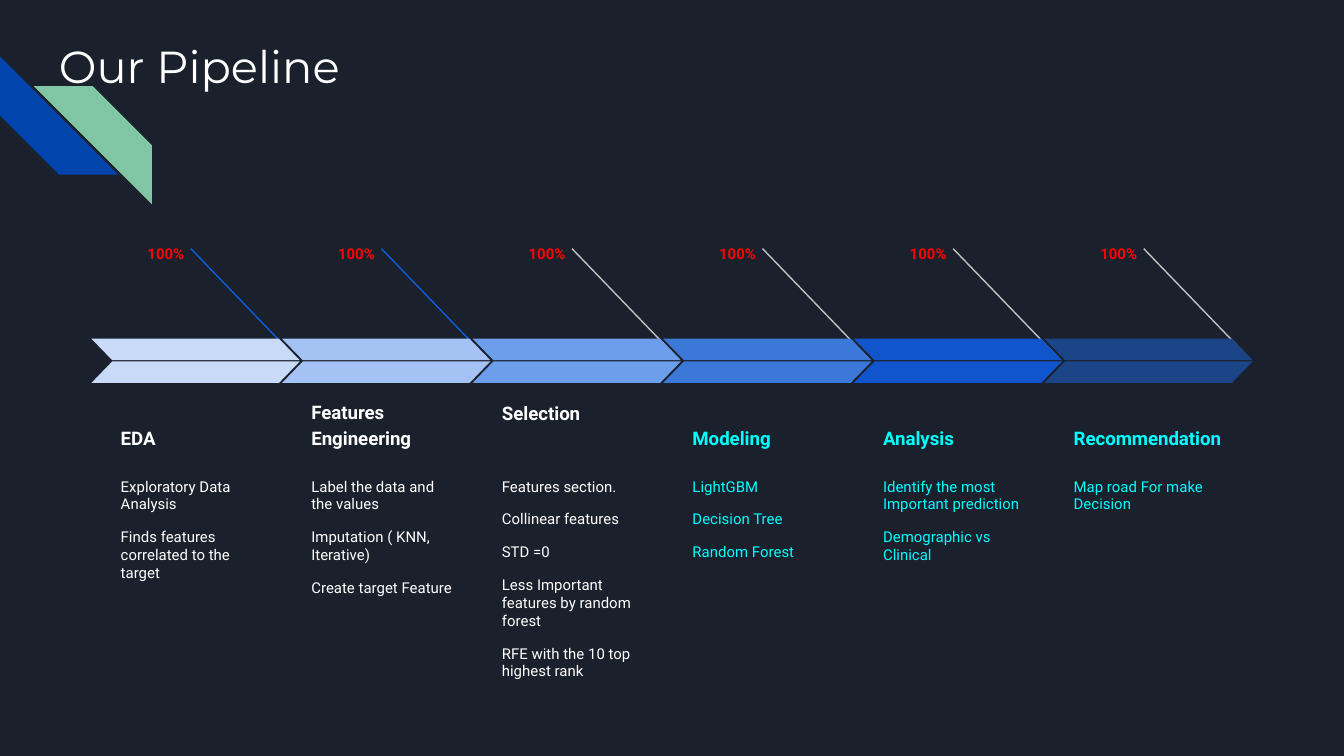
from dataclasses import dataclass

from lxml import etree
from pptx import Presentation
from pptx.dml.color import RGBColor
from pptx.enum.shapes import MSO_CONNECTOR, MSO_SHAPE
from pptx.enum.text import MSO_ANCHOR, PP_ALIGN
from pptx.oxml.ns import qn
from pptx.util import Inches, Pt

STRAIGHT = MSO_CONNECTOR.STRAIGHT
STRIPE, ARROW_HALF = MSO_SHAPE.DIAGONAL_STRIPE, MSO_SHAPE.PARALLELOGRAM
TOP, BOTTOM = MSO_ANCHOR.TOP, MSO_ANCHOR.BOTTOM
LEFT, RIGHT = PP_ALIGN.LEFT, PP_ALIGN.RIGHT

WIDTH, HEIGHT = 10, 5.625
FIRST_LEFT, LAST_LEFT = 0.68, 7.77
POINTER_ROW, SHARE_ROW, HEADING_ROW, DETAIL_ROW = 1.85, 1.72, 2.95, 3.45
ARROW_ROWS = {2.52: True, 2.69: False}
ARROW_WIDTH, ARROW_HEIGHT = 1.55, 0.16
TEXT_INDENT, TEXT_WIDTH = 0.12, 1.28
HEADING_LINE = 0.19
WHITE, CYAN, RED, BLUE, GRAY = "FFFFFF", "00FFFF", "FF0000", "0D5DDF", "C2C2C2"


@dataclass(frozen=True)
class Box:
    left: float
    top: float
    width: float
    height: float

    def inches(self) -> tuple:
        return tuple(Inches(v) for v in (self.left, self.top, self.width, self.height))


@dataclass(frozen=True)
class TextFormat:
    color: str
    size: float = 8
    font: str = "Roboto"
    bold: bool = False
    align: PP_ALIGN = LEFT
    anchor: MSO_ANCHOR = TOP
    line_spacing: float = 1.0
    gap: float = 0


@dataclass(frozen=True)
class Stage:
    heading: str
    details: tuple
    arrow_color: str
    pointer_color: str
    text_color: str
    heading_width: float = TEXT_WIDTH
    heading_rise: float = 0


STAGES = (
    Stage("EDA", ("Exploratory Data Analysis", "Finds features correlated to the target"),
          "C9DAF8", BLUE, WHITE),
    Stage("Features Engineering",
          ("Label the data and the values", "Imputation ( KNN, Iterative)", "Create target Feature"),
          "A4C2F4", BLUE, WHITE),
    Stage("Selection",
          ("Features section.", "Collinear features", "STD =0",
           "Less Important features by random forest", "RFE with the 10 top highest rank"),
          "6D9EEB", GRAY, WHITE, heading_rise=HEADING_LINE),
    Stage("Modeling", ("LightGBM", "Decision Tree", "Random Forest"), "3C78D8", GRAY, CYAN),
    Stage("Analysis", ("Identify the most Important prediction", "Demographic vs Clinical"),
          "1155CC", GRAY, CYAN),
    Stage("Recommendation", ("Map road For make Decision",), "1C4587", GRAY, CYAN,
          heading_width=1.41),
)


def rgb(color: str) -> RGBColor:
    return RGBColor.from_string(color)


def apply(target, values: dict) -> None:
    for name, value in values.items():
        setattr(target, name, value)


def add_text(slide, box: Box, lines: tuple, style: TextFormat) -> None:
    frame = slide.shapes.add_textbox(*box.inches()).text_frame
    margins = {f"margin_{side}": Inches(0.1) for side in ("left", "top", "right", "bottom")}
    apply(frame, {"word_wrap": True, "vertical_anchor": style.anchor, **margins})
    for index, line in enumerate(lines):
        paragraph = frame.add_paragraph() if index else frame.paragraphs[0]
        apply(paragraph, {"alignment": style.align, "line_spacing": style.line_spacing,
                          "space_before": Pt(style.gap if index else 0)})
        run = paragraph.add_run()
        run.text = line
        apply(run.font, {"name": style.font, "size": Pt(style.size), "bold": style.bold})
        run.font.color.rgb = rgb(style.color)


def add_band(slide, kind: MSO_SHAPE, box: Box, color: str, slant: float,
             flipped: bool = False, rotation: float = 0) -> None:
    band = slide.shapes.add_shape(kind, *box.inches())
    band.adjustments[0] = slant
    band.rotation = rotation
    band.shadow.inherit = False
    band.fill.solid()
    band.fill.fore_color.rgb = rgb(color)
    band.line.fill.background()
    if flipped:
        band._element.spPr.get_or_add_xfrm().set("flipH", "1")


def add_pointer(slide, left: float, color: str) -> None:
    ends = (left + 0.74, POINTER_ROW, left + 1.53, 2.67)
    pointer = slide.shapes.add_connector(STRAIGHT, *(Inches(v) for v in ends))
    pointer.line.color.rgb = rgb(color)
    pointer.line.width = Pt(0.75)
    etree.SubElement(pointer._element.spPr, qn("a:effectLst"))


def add_stage(slide, left: float, stage: Stage) -> None:
    add_pointer(slide, left, stage.pointer_color)
    for top, flipped in ARROW_ROWS.items():
        add_band(slide, ARROW_HALF, Box(left, top, ARROW_WIDTH, ARROW_HEIGHT),
                 stage.arrow_color, 0.97, flipped)
    text_left = left + TEXT_INDENT
    add_text(slide, Box(text_left, HEADING_ROW - stage.heading_rise, stage.heading_width, 0.49),
             (stage.heading,),
             TextFormat(stage.text_color, 10, bold=True, anchor=BOTTOM, line_spacing=1.15))
    add_text(slide, Box(text_left, DETAIL_ROW, TEXT_WIDTH, 0.81), stage.details,
             TextFormat(stage.text_color, gap=8))
    add_text(slide, Box(left + 0.11, SHARE_ROW, 0.68, 0.26), ("100%",),
             TextFormat(RED, bold=True, align=RIGHT, line_spacing=1.15))


def main() -> None:
    deck = Presentation()
    apply(deck, {"slide_width": Inches(WIDTH), "slide_height": Inches(HEIGHT)})
    slide = deck.slides.add_slide(deck.slide_layouts[6])
    slide.background.fill.solid()
    slide.background.fill.fore_color.rgb = rgb("1B212C")
    add_band(slide, STRIPE, Box(0, 0.42, 0.88, 0.88), "0145AC", 0.5, rotation=270)
    add_band(slide, STRIPE, Box(0.25, 0.64, 0.88, 0.88), "82C7A5", 0.5, flipped=True)
    add_text(slide, Box(0.34, 0.19, WIDTH - 2 * 0.34, 0.66), ("Our Pipeline",),
             TextFormat(WHITE, 24, "Montserrat"))
    pitch = (LAST_LEFT - FIRST_LEFT) / (len(STAGES) - 1)
    for column, stage in enumerate(STAGES):
        add_stage(slide, FIRST_LEFT + column * pitch, stage)
    deck.save("out.pptx")


if __name__ == "__main__":
    main()
